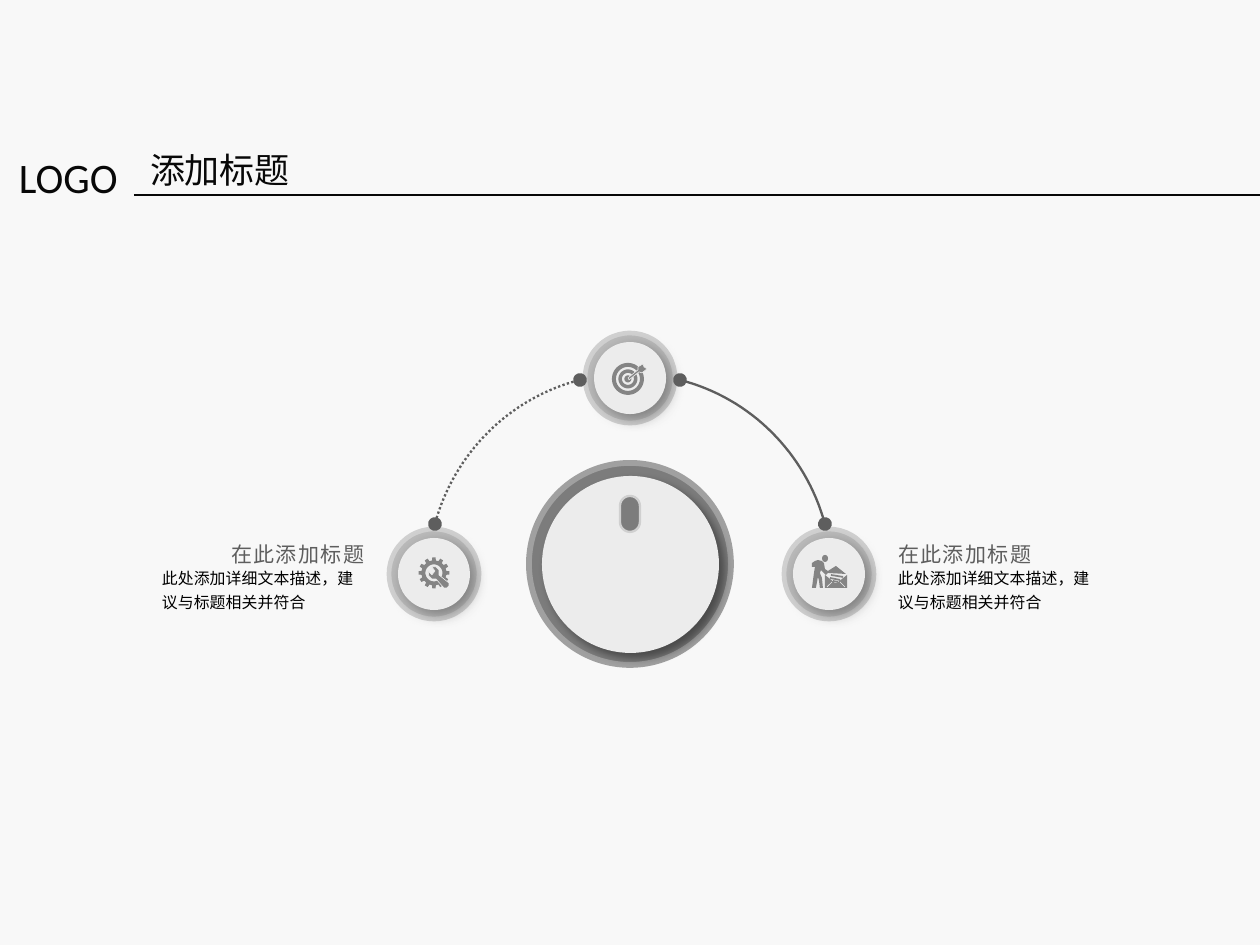
from math import cos, pi, sin

from pptx import Presentation
from pptx import util as u
from pptx.dml.color import RGBColor
from pptx.enum import dml, shapes, text
from pptx.oxml import xmlchemy
from pptx.oxml.ns import qn
from lxml import etree

HUE = {
    "back": "F8F8F8", "ink": "080808", "black": "000000", "dark": "5E5E5E",
    "knob": "7C7C7C", "rim": "A0A0A0", "ring": "BABABA", "edge": "D0D0D0",
    "face": "ECECEC", "icon": "848484",
}
CJK = "Noto Sans CJK SC"
SCALE = 914400 / 168
ROUND = shapes.MSO_SHAPE.ROUNDED_RECTANGLE
OVAL = shapes.MSO_SHAPE.OVAL
MID = 630


def circle(x, y, r, n=48):
    return [(x + r * cos(2 * pi * i / n), y + r * sin(2 * pi * i / n)) for i in range(n)]


def gear(x, y, out, root, teeth):
    ring = []
    for i in range(teeth):
        for step, r in ((-0.3, root), (-0.2, out), (0.2, out), (0.3, root)):
            turn = 2 * pi * (i + step) / teeth
            ring.append((x + r * cos(turn), y + r * sin(turn)))
    return ring


def curve(a, b, c, d, n=32):
    dots = []
    for i in range(n + 1):
        t = i / n
        s = 1 - t
        dots.append(tuple(s**3 * p + 3 * s * s * t * q + 3 * s * t * t * v + t**3 * w
                          for p, q, v, w in zip(a, b, c, d)))
    return dots


class Deck:
    def __init__(self, wide, high):
        self.file = Presentation()
        self.file.slide_width = self.px(wide)
        self.file.slide_height = self.px(high)
        self.slide = self.file.slides.add_slide(self.file.slide_layouts[6])
        self.shapes = self.slide.shapes
        self.paint(self.slide.background.fill, "back")

    def px(self, n):
        return u.Emu(round(n * SCALE))

    def paint(self, fill, hue):
        fill.solid()
        fill.fore_color.rgb = RGBColor.from_string(HUE[hue])

    def style(self, item, fill=None, line=None, width=1):
        item.shadow.inherit = False
        if fill:
            self.paint(item.fill, fill)
        else:
            item.fill.background()
        if line:
            self.paint(item.line.fill, line)
            item.line.width = u.Pt(width)
        else:
            item.line.fill.background()

    def shape(self, kind, x, y, w, h, fill, line=None, width=1):
        item = self.shapes.add_shape(kind, *map(self.px, (x, y, w, h)))
        if kind == ROUND:
            item.adjustments[0] = 0.5
        self.style(item, fill, line, width)
        return item

    def shade(self, item, hue, alpha, blur):
        box = item._element.spPr.find(qn("a:effectLst"))
        cast = etree.SubElement(box, qn("a:outerShdw"), blurRad=str(u.Pt(blur)),
                                dist=str(u.Pt(3)), dir="2700000", algn="tl", rotWithShape="0")
        tone = etree.SubElement(cast, qn("a:srgbClr"), val=HUE[hue])
        etree.SubElement(tone, qn("a:alpha"), val=str(alpha * 1000))

    def free(self, rings, fill=None, line=None, width=1, close=True):
        pen = None
        for ring in rings:
            dots = [(self.px(x), self.px(y)) for x, y in ring]
            if pen is None:
                pen = self.shapes.build_freeform(*dots[0])
            else:
                pen.move_to(*dots[0])
            pen.add_line_segments(dots[1:], close=close)
        item = pen.convert_to_shape()
        self.style(item, fill, line, width)
        return item

    def arc(self, dots, dash=None):
        item = self.free([dots], line="dark", close=False)
        if dash:
            item.line.dash_style = dash
        ln = item.line._get_or_add_ln()
        for end in ("a:headEnd", "a:tailEnd"):
            etree.SubElement(ln, qn(end), type="oval", w="med", len="med")

    def line(self, x, y, far, low, hue, width=0.75):
        item = self.shapes.add_connector(shapes.MSO_CONNECTOR.STRAIGHT,
                                         *map(self.px, (x, y, far, low)))
        self.paint(item.line.fill, hue)
        item.line.width = u.Pt(width)
        etree.SubElement(item._element.spPr, qn("a:effectLst"))

    def words(self, x, y, w, h, copy, size, hue, font=CJK, right=False, lead=None, gap=0):
        frame = self.shapes.add_textbox(*map(self.px, (x, y, w, h))).text_frame
        frame.word_wrap = True
        frame.vertical_anchor = text.MSO_ANCHOR.MIDDLE
        frame.margin_left = frame.margin_right = self.px(16)
        frame.margin_top = frame.margin_bottom = self.px(4)
        para = frame.paragraphs[0]
        para.alignment = text.PP_ALIGN.RIGHT if right else text.PP_ALIGN.LEFT
        if lead:
            para.line_spacing = u.Pt(lead)
        run = para.add_run()
        run.text = copy
        run.font.size = u.Pt(size)
        run.font.name = font
        self.paint(run.font.fill, hue)
        props = run._r.get_or_add_rPr()
        etree.SubElement(props, qn("a:ea"), typeface=font)
        if gap:
            props.set("spc", str(gap))

    def badge(self, x, y):
        self.shape(ROUND, x - 45, y - 45, 90, 90, "ring", "edge", 2)
        face = self.shape(ROUND, x - 36, y - 36, 72, 72, "face")
        self.shade(face, "dark", 64, 6)

    def note(self, head, body, right=False):
        self.words(body, 556, 234, 64, "此处添加详细文本描述，建议与标题相关并符合",
                   6.8, "black", lead=10.3)
        self.words(head, 533, 244, 42, "在此添加标题", 9, "dark", right=right, gap=60)


def main():
    deck = Deck(1260, 945)
    deck.words(134, 140, 469, 59, "添加标题", 15, "ink")
    deck.line(134, 195, 1260, 195, "ink")
    deck.words(3, 143, 140, 67, "LOGO", 18, "ink", "Calibri")

    deck.shape(OVAL, MID - 101, 463, 202, 202, "knob", "rim", 2.5)
    dial = deck.shape(OVAL, MID - 88, 476, 177, 177, "face")
    deck.shade(dial, "black", 40, 4)
    for x, y in ((434, 574), (829, 574), (MID, 378)):
        deck.badge(x, y)

    left = curve((435, 524), (454, 454), (509, 398), (580, 380))
    deck.arc(left, dml.MSO_LINE.ROUND_DOT)
    deck.arc([(2 * MID - x, y) for x, y in left])
    deck.note(882, 882)
    deck.note(136, 146, True)
    deck.shape(ROUND, MID - 10, 496, 20, 36, "knob", "edge", 1)

    deck.free([circle(628, 379, r) for r in (16, 12, 9.5, 6, 3.5)], "icon")
    deck.free([[(628, 378), (638, 370), (638, 367), (643, 364), (644, 367),
                (647, 369), (642, 373), (639, 372), (629, 380)]], "icon", "face", 0.25)

    deck.free([gear(434, 573, 15.5, 12.5, 12), circle(434, 573, 8.5)], "icon")
    deck.free([[(428, 571), (429, 576), (432, 579), (436, 579), (444, 588), (447, 588),
                (449, 586), (449, 583), (439, 575), (439, 570), (436, 567), (432, 567),
                (435, 571), (432, 575)]], "icon", "face", 0.25)

    deck.shape(OVAL, 822, 555, 6, 7, "icon")
    deck.free([[(812, 563), (815, 561), (818, 560), (822, 561), (824, 563), (825, 569),
                (828, 571), (836, 566), (846, 574), (828, 573), (826, 575), (823, 572),
                (821, 570), (820, 573), (822, 578), (823, 588), (820, 588), (819, 580),
                (818, 577), (816, 588), (812, 588), (814, 573), (815, 567), (812, 567)]], "icon")
    deck.free([[(825, 575), (835, 583), (837, 583), (847, 575), (847, 588), (825, 588)]], "icon")
    for x, y, far, low in ((831, 575, 843, 577), (830, 578, 840, 580), (833, 581, 838, 582)):
        deck.line(x, y, far, low, "icon")
    for x, far in ((832, 827), (840, 845)):
        deck.line(x, 582, far, 587, "face", 0.25)
    deck.file.save("out.pptx")


if __name__ == "__main__":
    main()
